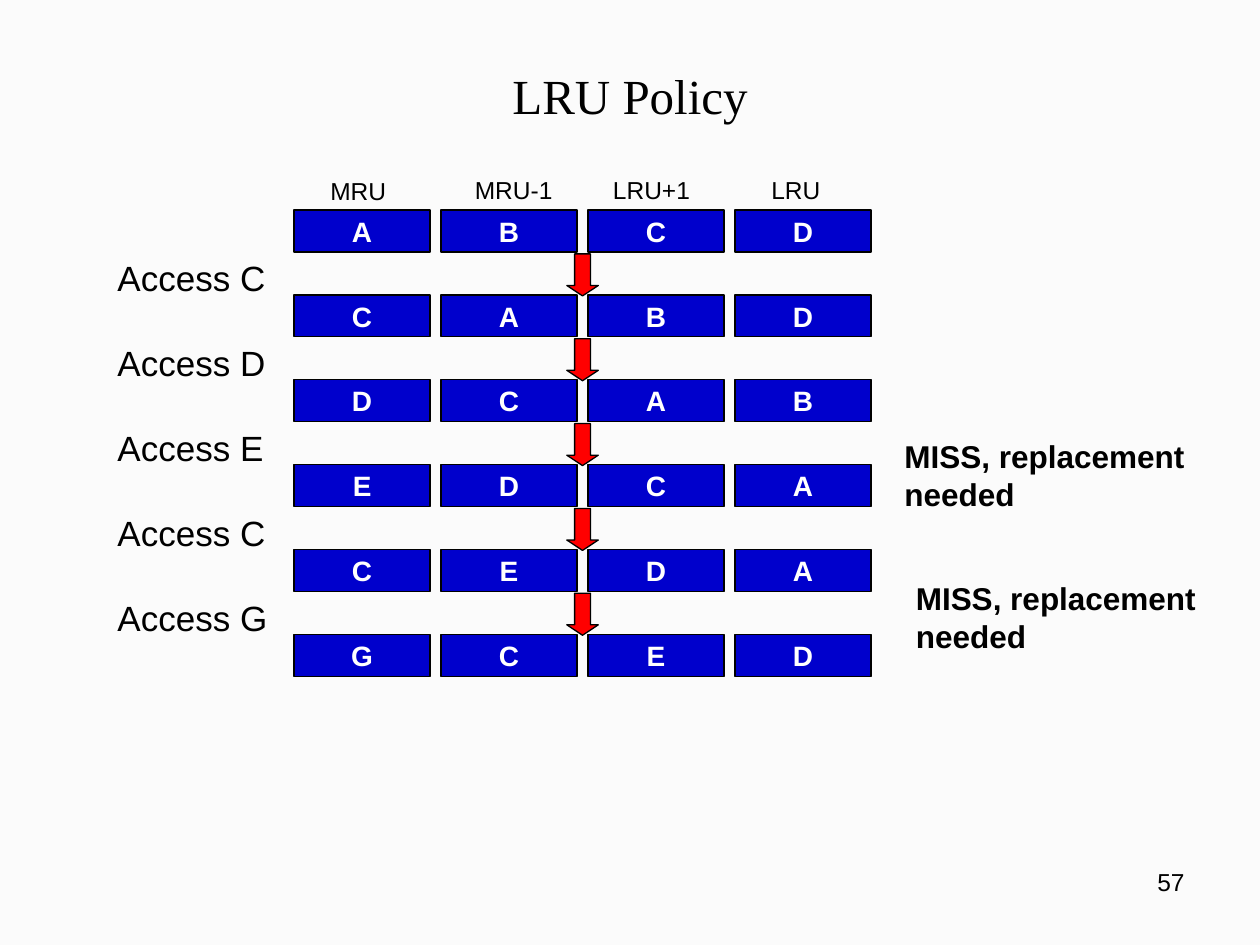
from pptx import Presentation
from pptx.dml.color import RGBColor
from pptx.enum.shapes import MSO_SHAPE
from pptx.enum.text import MSO_ANCHOR, MSO_AUTO_SIZE, PP_ALIGN
from pptx.util import Inches, Pt

RECT, DOWN_ARROW = MSO_SHAPE.RECTANGLE, MSO_SHAPE.DOWN_ARROW
MIDDLE, FIT = MSO_ANCHOR.MIDDLE, MSO_AUTO_SIZE.SHAPE_TO_FIT_TEXT
LEFT, CENTER, RIGHT = PP_ALIGN.LEFT, PP_ALIGN.CENTER, PP_ALIGN.RIGHT

W, H = 10, 7.5
BLACK, WHITE, BLUE, RED = "000000", "FFFFFF", "0000CC", "FF0000"

# Board: four recency positions across, one cache state per row
BOARD = (W * 7 / 30, H * 2 / 9, 4.58, 3.7)
CELL_W, CELL_H = 1.08, H * 2 / 45
STATES = ["ABCD", "CABD", "DCAB", "EDCA", "CEDA", "GCED"]
# Heading, offset from its column, lift above the board, width
HEADINGS = [("MRU", 0.19, 0.32, 0.67), ("MRU-1", 0.17, 0.33, 0.84),
            ("LRU+1", 0.1, 0.33, 0.84), ("LRU", 0.19, 0.33, 0.62)]
# Left and top of each miss note
NOTES = [(7.08, 3.42), (7.17, 4.55)]


def color(value):
    return RGBColor.from_string(value)


def inches(*box):
    return [Inches(v) for v in box]


def write(tf, lines, size, fill=BLACK, bold=False, align=LEFT, font="Arial"):
    for i, line in enumerate(lines):
        p = tf.paragraphs[0] if i == 0 else tf.add_paragraph()
        p.alignment = align
        r = p.add_run()
        r.text = line
        r.font.name, r.font.size, r.font.bold = font, Pt(size), bold
        r.font.color.rgb = color(fill)


def add_label(slide, box, lines, size, **style):
    tf = slide.shapes.add_textbox(*inches(*box)).text_frame
    tf.word_wrap, tf.auto_size = False, FIT
    write(tf, lines, size, **style)


def add_block(shapes, kind, box, fill):
    sp = shapes.add_shape(kind, *inches(*box))
    sp.shadow.inherit = False
    sp.fill.solid()
    sp.fill.fore_color.rgb = color(fill)
    sp.line.color.rgb = color(BLACK)
    sp.line.width = Pt(0.75)
    return sp


def add_title(slide, box, text):
    title = slide.shapes.title
    title.left, title.top, title.width, title.height = inches(*box)
    title.text_frame.vertical_anchor = MIDDLE
    write(title.text_frame, [text], 28, align=CENTER, font="Times New Roman")


def add_headings(slide, box):
    left, top, width, _ = box
    pitch = (width - CELL_W) / (len(HEADINGS) - 1)
    for col, (text, offset, lift, w) in enumerate(HEADINGS):
        add_label(slide, (left + col * pitch + offset, top - lift, w, 0.33),
                  [text], 14)


def add_state(shapes, box, state):
    left, top, width, height = box
    pitch = (width - CELL_W) / (len(state) - 1)
    for col, letter in enumerate(state):
        sp = add_block(shapes, RECT, (left + col * pitch, top, CELL_W, height), BLUE)
        tf = sp.text_frame
        tf.word_wrap, tf.vertical_anchor = False, MIDDLE
        write(tf, [letter], 16, fill=WHITE, bold=True, align=CENTER)


def add_board(slide, box):
    left, top, width, height = box
    pitch = (height - CELL_H) / (len(STATES) - 1)
    for row, state in enumerate(STATES):
        y = top + row * pitch
        row_box = (left, y, width, CELL_H)
        if row == 0:
            add_state(slide.shapes, row_box, state)
            continue
        # The accessed item always becomes the most recently used one
        add_label(slide, (W / 12, y - 0.35, 1.45, 0.43), [f"Access {state[0]}"], 20)
        step = slide.shapes.add_group_shape().shapes
        add_state(step, row_box, state)
        arrow = add_block(step, DOWN_ARROW,
                          (left + width / 2 - 0.125, y - 0.325, 0.25, CELL_H), RED)
        arrow.adjustments[0], arrow.adjustments[1] = 0.5, 0.33


def add_notes(slide, places):
    for left, top in places:
        add_label(slide, (left, top, 2.49, 0.7),
                  ["MISS, replacement", "needed"], 18, bold=True)


def add_page_number(slide, box, number):
    tf = slide.shapes.add_textbox(*inches(*box)).text_frame
    tf.word_wrap = True
    write(tf, [number], 14, align=RIGHT)


def main():
    prs = Presentation()
    prs.slide_width, prs.slide_height = inches(W, H)
    slide = prs.slides.add_slide(prs.slide_layouts[5])
    slide.background.fill.solid()
    slide.background.fill.fore_color.rgb = color("FBFBFB")

    add_title(slide, (0.75, 0.42, W * 0.85, 0.67), "LRU Policy")
    add_headings(slide, BOARD)
    add_board(slide, BOARD)
    add_notes(slide, NOTES)
    add_page_number(slide, (7.17, 6.83, 2.33, 0.52), "57")
    prs.save("out.pptx")


if __name__ == "__main__":
    main()
